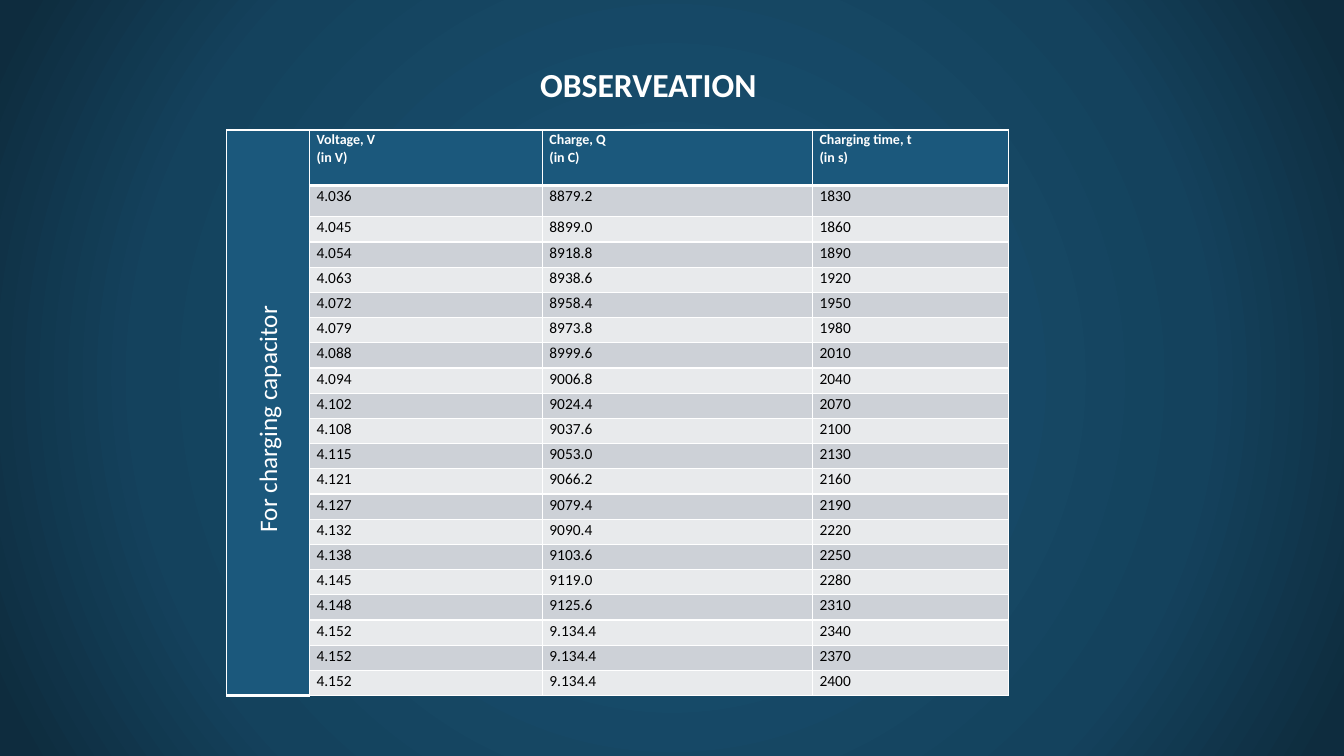
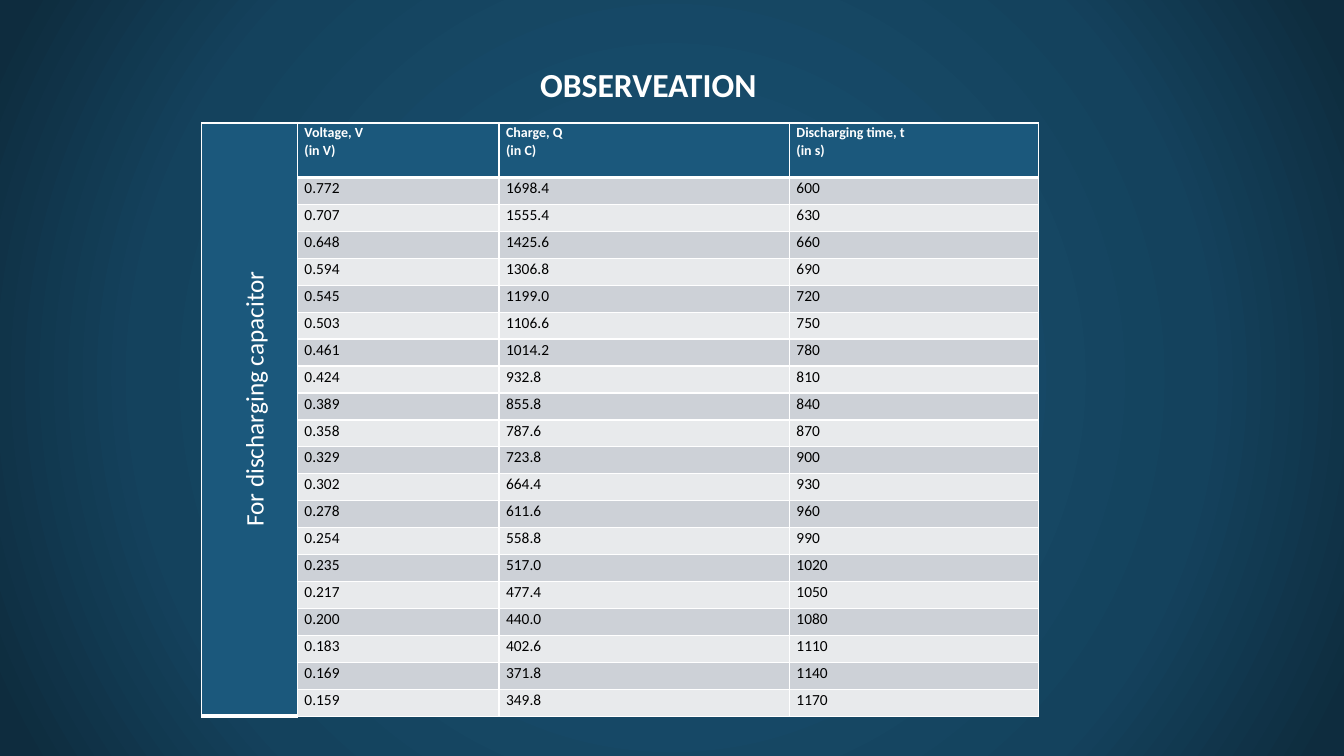
from lxml.etree import SubElement
from pptx import Presentation
from pptx.dml.color import RGBColor
from pptx.enum.text import MSO_ANCHOR, MSO_AUTO_SIZE, PP_ALIGN
from pptx.oxml import parse_xml
from pptx.oxml.ns import nsdecls, qn
from pptx.util import Inches, Pt

FONT = "Calibri"
WHITE, BLACK = "FFFFFF", "000000"
HEADER_FILL, BAND_FILLS = "1B587C", ("CDD1D7", "E8EAEC")
BACKDROP = [(0, "184E6E"), (23, "184E6E"), (69, "14425D"), (97, "0E2C3E")]

TITLE = "OBSERVEATION"
TITLE_BOX = (5.07, 0.58, 2.72, 0.5)
TITLE_FORMAT = {"size": 24, "bold": True, "color": WHITE}
LABEL_FORMAT = {"size": 18, "bold": False, "color": WHITE}
HEADER_FORMAT = {"size": 10, "bold": True, "color": WHITE}
BODY_FORMAT = {"size": 11, "bold": False, "color": BLACK}
TIME_STEP = 30

EXPERIMENTS = [
    {
        "label": "For charging capacitor",
        "label_box": (1.36, 3.89, 2.58, 0.4),
        "table_box": (2.25, 1.29, 7.74, 5.61),
        "columns": [0.82, 2.31, 2.68, 1.94],
        "top_rows": [0.55, 0.31],
        "time_name": "Charging time, t",
        "start": 1830,
        "readings": [
            ("4.036", "8879.2"), ("4.045", "8899.0"), ("4.054", "8918.8"), ("4.063", "8938.6"),
            ("4.072", "8958.4"), ("4.079", "8973.8"), ("4.088", "8999.6"), ("4.094", "9006.8"),
            ("4.102", "9024.4"), ("4.108", "9037.6"), ("4.115", "9053.0"), ("4.121", "9066.2"),
            ("4.127", "9079.4"), ("4.132", "9090.4"), ("4.138", "9103.6"), ("4.145", "9119.0"),
            ("4.148", "9125.6"), ("4.152", "9.134.4"), ("4.152", "9.134.4"), ("4.152", "9.134.4"),
        ],
    },
    {
        "label": "For discharging capacitor",
        "label_box": (1.11, 3.72, 2.81, 0.4),
        "table_box": (2, 1.22, 8.3, 5.89),
        "columns": [0.95, 2, 2.88, 2.47],
        "top_rows": [0.54],
        "time_name": "Discharging time, t",
        "start": 600,
        "readings": [
            ("0.772", "1698.4"), ("0.707", "1555.4"), ("0.648", "1425.6"), ("0.594", "1306.8"),
            ("0.545", "1199.0"), ("0.503", "1106.6"), ("0.461", "1014.2"), ("0.424", "932.8"),
            ("0.389", "855.8"), ("0.358", "787.6"), ("0.329", "723.8"), ("0.302", "664.4"),
            ("0.278", "611.6"), ("0.254", "558.8"), ("0.235", "517.0"), ("0.217", "477.4"),
            ("0.200", "440.0"), ("0.183", "402.6"), ("0.169", "371.8"), ("0.159", "349.8"),
        ],
    },
]


def rgb(color):
    return RGBColor.from_string(color)


def inches(box):
    return [Inches(v) for v in box]


def set_attrs(obj, values):
    for name, value in values.items():
        setattr(obj, name, value)


def write(tf, text, fmt, **paragraph_format):
    tf.text = text
    for p in tf.paragraphs:
        set_attrs(p, paragraph_format)
        for r in p.runs:
            set_attrs(r.font, {"name": FONT, "size": Pt(fmt["size"]), "bold": fmt["bold"]})
            r.font.color.rgb = rgb(fmt["color"])


def set_backdrop(master):
    master.background.fill.solid()
    bg = master.element.find(".//" + qn("p:bgPr"))
    stops = "".join(
        f'<a:gs pos="{pos * 1000}"><a:srgbClr val="{color}"/></a:gs>' for pos, color in BACKDROP
    )
    gradient = parse_xml(
        f'<a:gradFill {nsdecls("a")} rotWithShape="1"><a:gsLst>{stops}</a:gsLst>'
        '<a:path path="circle"><a:fillToRect l="50000" t="50000" r="50000" b="50000"/></a:path>'
        "</a:gradFill>"
    )
    bg.replace(bg.find(qn("a:solidFill")), gradient)


def set_borders(cell, bottom):
    tc_pr = cell._tc.get_or_add_tcPr()
    for i, (side, width) in enumerate([("L", 1), ("R", 1), ("T", 1), ("B", bottom)]):
        tc_pr.insert(i, parse_xml(
            f'<a:ln{side} {nsdecls("a")} w="{Pt(width)}"><a:solidFill>'
            f'<a:srgbClr val="{WHITE}"/></a:solidFill></a:ln{side}>'
        ))


def format_cell(cell, row, col, text):
    is_header = row == 0 or col == 0
    set_attrs(cell, {
        "margin_left": Inches(0.07), "margin_right": Inches(0.07),
        "margin_top": 0, "margin_bottom": 0,
    })
    cell.fill.solid()
    cell.fill.fore_color.rgb = rgb(HEADER_FILL if is_header else BAND_FILLS[(row - 1) % 2])
    set_borders(cell, 3 if is_header else 1)
    if text:
        write(cell.text_frame, text, HEADER_FORMAT if is_header else BODY_FORMAT, line_spacing=1.07)
    else:
        SubElement(cell.text_frame.paragraphs[0]._p, qn("a:endParaRPr"), sz="1000")


def add_readings(slide, exp):
    rows = [("", "Voltage, V\n(in V)", "Charge, Q\n(in C)", exp["time_name"] + "\n(in s)")]
    for i, (voltage, charge) in enumerate(exp["readings"]):
        rows.append(("", voltage, charge, str(exp["start"] + i * TIME_STEP)))
    box, top = exp["table_box"], exp["top_rows"]
    rest = len(rows) - len(top)
    heights = top + [(box[3] - sum(top)) / rest] * rest
    table = slide.shapes.add_table(len(rows), len(rows[0]), *inches(box)).table
    for column, width in zip(table.columns, exp["columns"]):
        column.width = Inches(width)
    for r, (values, height) in enumerate(zip(rows, heights)):
        table.rows[r].height = Inches(height)
        for c, text in enumerate(values):
            format_cell(table.cell(r, c), r, c, text)
    table.cell(0, 0).merge(table.cell(len(rows) - 1, 0))


def add_title(slide):
    sp = slide.shapes.title
    set_attrs(sp, dict(zip(("left", "top", "width", "height"), inches(TITLE_BOX))))
    tf = sp.text_frame
    set_attrs(tf, {
        "word_wrap": True, "vertical_anchor": MSO_ANCHOR.TOP,
        "auto_size": MSO_AUTO_SIZE.SHAPE_TO_FIT_TEXT,
    })
    write(tf, TITLE, TITLE_FORMAT, alignment=PP_ALIGN.CENTER)


def add_label(slide, exp):
    sp = slide.shapes.add_textbox(*inches(exp["label_box"]))
    sp.rotation = 270
    tf = sp.text_frame
    set_attrs(tf, {"word_wrap": True, "auto_size": MSO_AUTO_SIZE.SHAPE_TO_FIT_TEXT})
    write(tf, exp["label"], LABEL_FORMAT)


def main():
    prs = Presentation()
    set_attrs(prs, {"slide_width": Inches(13.33), "slide_height": Inches(7.5)})
    set_backdrop(prs.slide_master)
    for exp in EXPERIMENTS:
        slide = prs.slides.add_slide(prs.slide_layouts[5])
        add_title(slide)
        add_readings(slide, exp)
        add_label(slide, exp)
    prs.save("out.pptx")


if __name__ == "__main__":
    main()
